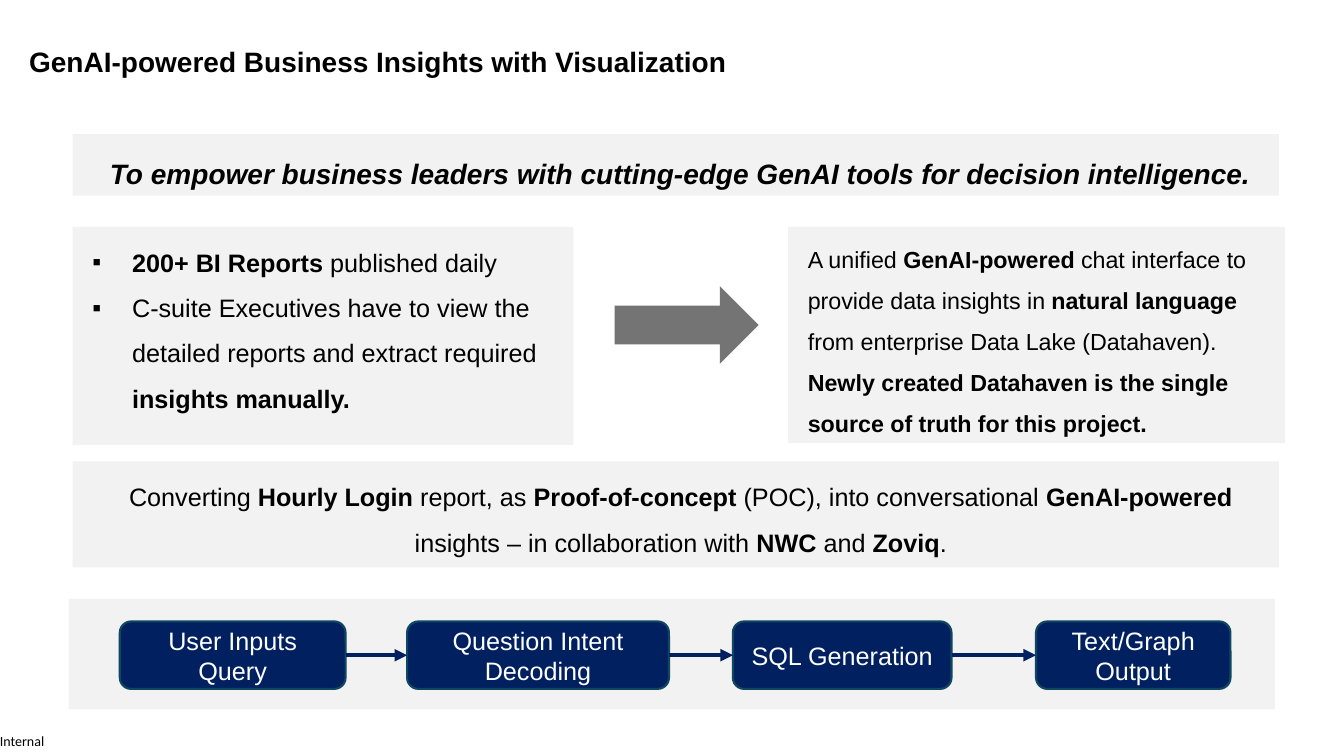
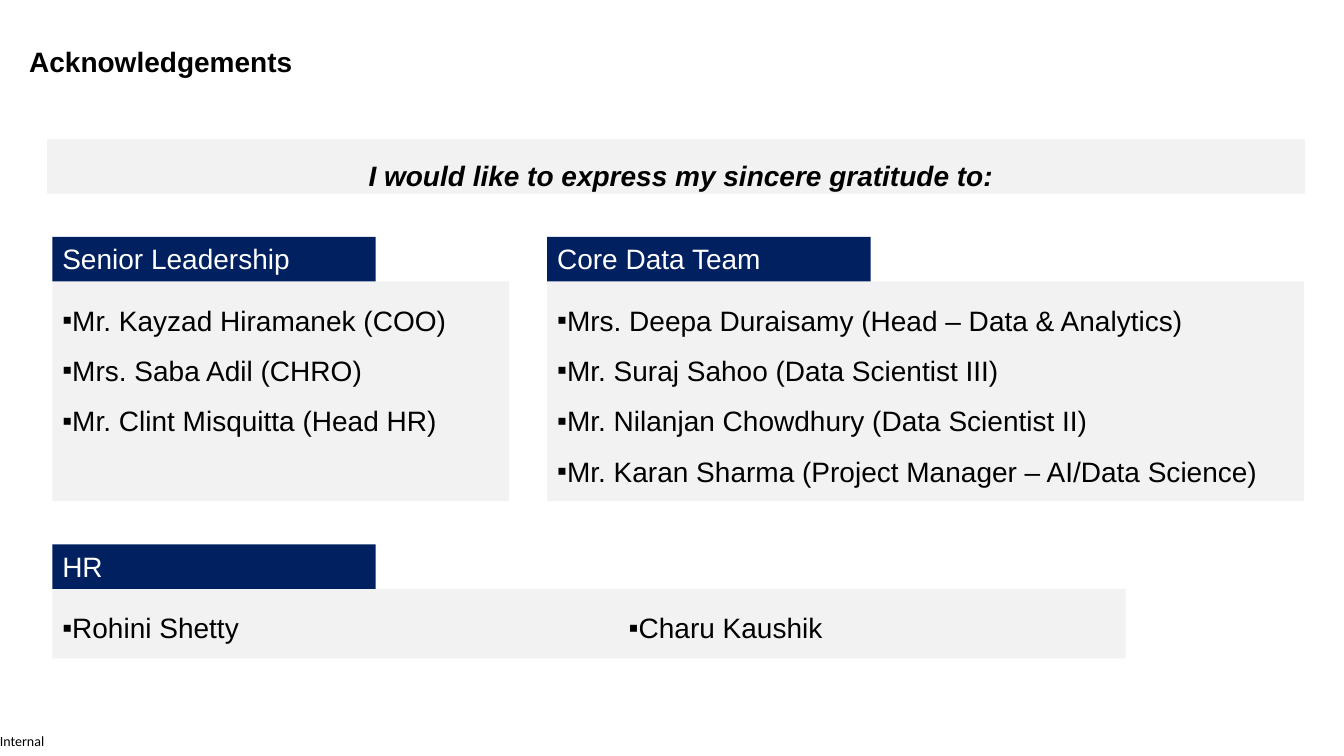
import pptx
import pptx.dml.color
import pptx.enum.shapes
import pptx.enum.text
import pptx.oxml.ns
import pptx.util
from lxml import etree
from pptx.util import Cm

COLORS = {"text": "000000", "panel": "F2F2F2", "navy": "002060", "edge": "104760",
          "arrow": "747474", "white": "FFFFFF"}
FONT = "Arial"
SHAPES = pptx.enum.shapes.MSO_SHAPE
ALIGN = pptx.enum.text.PP_ALIGN
ANCHOR = pptx.enum.text.MSO_ANCHOR
qn = pptx.oxml.ns.qn


def rgb(name):
    return pptx.dml.color.RGBColor.from_string(COLORS[name])


def format_run(run, size, color="text", bold=False, italic=False, font=FONT):
    run.font.name = font
    run.font.size = pptx.util.Pt(size)
    run.font.bold = bold
    run.font.italic = italic
    run.font.color.rgb = rgb(color)


def write_paragraph(paragraph, text, size, color="text", align=ALIGN.LEFT, spacing=1.0, italic=False):
    """Write text in which **double asterisks** enclose the bold parts."""
    paragraph.alignment = align
    paragraph.line_spacing = spacing
    for index, part in enumerate(text.split("**")):
        if part:
            run = paragraph.add_run()
            run.text = part
            format_run(run, size, color, bold=index % 2 == 1, italic=italic)


def indent_paragraph(paragraph, margin, first_line=0, bullet=None):
    properties = paragraph._p.get_or_add_pPr()
    properties.set("marL", str(Cm(margin)))
    properties.set("indent", str(Cm(first_line)))
    if bullet:
        etree.SubElement(properties, qn("a:buFont")).set("typeface", FONT)
        etree.SubElement(properties, qn("a:buChar")).set("char", bullet)


def add_block(slide, kind, box, fill, anchor=ANCHOR.TOP):
    shape = slide.shapes.add_shape(kind, *(Cm(length) for length in box))
    shape.shadow.inherit = False
    shape.fill.solid()
    shape.fill.fore_color.rgb = rgb(fill)
    shape.line.fill.background()
    shape.text_frame.word_wrap = True
    shape.text_frame.vertical_anchor = anchor
    return shape


def add_panel(slide, box, texts=(), size=18, margin=0.25, first_line=0, bullet=None,
              anchor=ANCHOR.TOP, **style):
    """Add a grey rectangle with one paragraph per text."""
    panel = add_block(slide, SHAPES.RECTANGLE, box, "panel", anchor)
    frame = panel.text_frame
    for index, text in enumerate(texts):
        paragraph = frame.add_paragraph() if index else frame.paragraphs[0]
        write_paragraph(paragraph, text, size, **{"spacing": 1.5, **style})
        indent_paragraph(paragraph, margin, first_line, bullet)
    return panel


def add_statement(slide, box, text):
    add_panel(slide, box, [f"**{text}**"], size=20, anchor=ANCHOR.MIDDLE,
              align=ALIGN.CENTER, italic=True)


def add_people_group(slide, left, top, width, height, heading, people, columns=1):
    """Add a navy heading tab above a panel that lists people."""
    tab_height = 1.12
    panel = add_panel(slide, (left, top + tab_height, width, height), people,
                      size=20, margin=0, bullet="▪")
    if columns > 1:
        body = panel.text_frame._txBody.find(qn("a:bodyPr"))
        body.set("numCol", str(columns))
        body.set("spcCol", str(Cm(2)))
    tab = add_block(slide, SHAPES.RECTANGLE, (left, top, 8.15, tab_height), "navy")
    write_paragraph(tab.text_frame.paragraphs[0], heading, 20, "white")


def add_step(slide, left, width, text):
    step = add_block(slide, SHAPES.ROUNDED_RECTANGLE, (left, 15.66, width, 1.7),
                     "navy", ANCHOR.MIDDLE)
    step.line.color.rgb = rgb("edge")
    step.line.width = pptx.util.Pt(1.5)
    write_paragraph(step.text_frame.paragraphs[0], text, 18, "white", ALIGN.CENTER)
    return step


def join_steps(slide, start, end):
    connector = slide.shapes.add_connector(pptx.enum.shapes.MSO_CONNECTOR.STRAIGHT, 0, 0, 0, 0)
    connector.begin_connect(start, 3)
    connector.end_connect(end, 1)
    connector.line.color.rgb = rgb("navy")
    connector.line.width = pptx.util.Pt(3)
    etree.SubElement(connector.line._get_or_add_ln(), qn("a:tailEnd")).set("type", "triangle")
    etree.SubElement(connector.element.spPr, qn("a:effectLst"))


def add_titled_slide(presentation, layout, text):
    slide = presentation.slides.add_slide(layout)
    title = slide.shapes.title
    title.left, title.top, title.width, title.height = Cm(0.48), Cm(0.76), Cm(25.25), Cm(1.68)
    title.text_frame.vertical_anchor = ANCHOR.MIDDLE
    write_paragraph(title.text_frame.paragraphs[0], f"**{text}**", 20, spacing=0.9)
    return slide


def move_footer_to_layout(slide, layout):
    """Build the classification label and place it on the layout all slides share."""
    footer = slide.shapes.add_textbox(Cm(0), Cm(18.31), Cm(1.88), Cm(0.74))
    frame = footer.text_frame
    frame.margin_left = frame.margin_top = frame.margin_right = frame.margin_bottom = 0
    frame.word_wrap = True
    frame.vertical_anchor = ANCHOR.MIDDLE
    frame.text = "Internal"
    format_run(frame.paragraphs[0].runs[0], 10, font="Calibri")
    layout.shapes.element.append(footer.element)


def fill_insights(slide):
    left, width = 1.83, 30.4
    add_statement(slide, (left, 3.38, width, 1.55),
                  "To empower business leaders with cutting-edge GenAI tools for decision intelligence.")
    add_panel(slide, (left, 5.72, 12.62, 5.49), [
        "**200+ BI Reports** published daily",
        "C-suite Executives have to view the detailed reports and extract required **insights manually.**",
    ], margin=1.25, first_line=-1, bullet="▪")
    add_panel(slide, (19.86, 5.72, 12.52, 5.44), [
        "A unified **GenAI-powered** chat interface to provide data insights in **natural language** "
        "from enterprise Data Lake (Datahaven). **Newly created Datahaven is the single source of "
        "truth for this project.**",
    ], size=16.6, spacing=1.47)
    add_block(slide, SHAPES.RIGHT_ARROW, (15.49, 7.21, 3.63, 1.96), "arrow")
    add_panel(slide, (left, 11.63, width, 2.67), [
        "Converting **Hourly Login** report, as **Proof-of-concept** (POC), into conversational "
        "**GenAI-powered** insights – in collaboration with **NWC** and **Zoviq**.",
    ], align=ALIGN.CENTER)
    add_panel(slide, (1.73, 15.09, width, 2.79))
    steps = [add_step(slide, *step) for step in (
        (3.02, 5.69, "User Inputs Query"),
        (10.26, 6.6, "Question Intent Decoding"),
        (18.47, 5.51, "SQL Generation"),
        (26.11, 4.9, "Text/Graph Output"),
    )]
    for start, end in zip(steps, steps[1:]):
        join_steps(slide, start, end)


def fill_acknowledgements(slide):
    left, top, height = 1.32, 5.97, 5.54
    add_statement(slide, (1.19, 3.51, 31.7, 1.37),
                  "I would like to express my sincere gratitude to:")
    add_people_group(slide, left, top, 11.51, height, "Senior Leadership", [
        "Mr. Kayzad Hiramanek (COO)",
        "Mrs. Saba Adil (CHRO)",
        "Mr. Clint Misquitta (Head HR)",
    ])
    add_people_group(slide, 13.79, top, 19.08, height, "Core Data Team", [
        "Mrs. Deepa Duraisamy (Head – Data & Analytics)",
        "Mr. Suraj Sahoo (Data Scientist III)",
        "Mr. Nilanjan Chowdhury (Data Scientist II)",
        "Mr. Karan Sharma (Project Manager – AI/Data Science)",
    ])
    add_people_group(slide, left, 13.72, 27.05, 1.75, "HR",
                     ["Rohini Shetty", "Charu Kaushik"], columns=2)


def main():
    presentation = pptx.Presentation()
    presentation.slide_width, presentation.slide_height = Cm(33.87), Cm(19.05)
    layout = presentation.slide_layouts[5]
    insights = add_titled_slide(presentation, layout,
                                "GenAI-powered Business Insights with Visualization")
    move_footer_to_layout(insights, layout)
    fill_insights(insights)
    fill_acknowledgements(add_titled_slide(presentation, layout, "Acknowledgements"))
    presentation.save("out.pptx")


if __name__ == "__main__":
    main()
